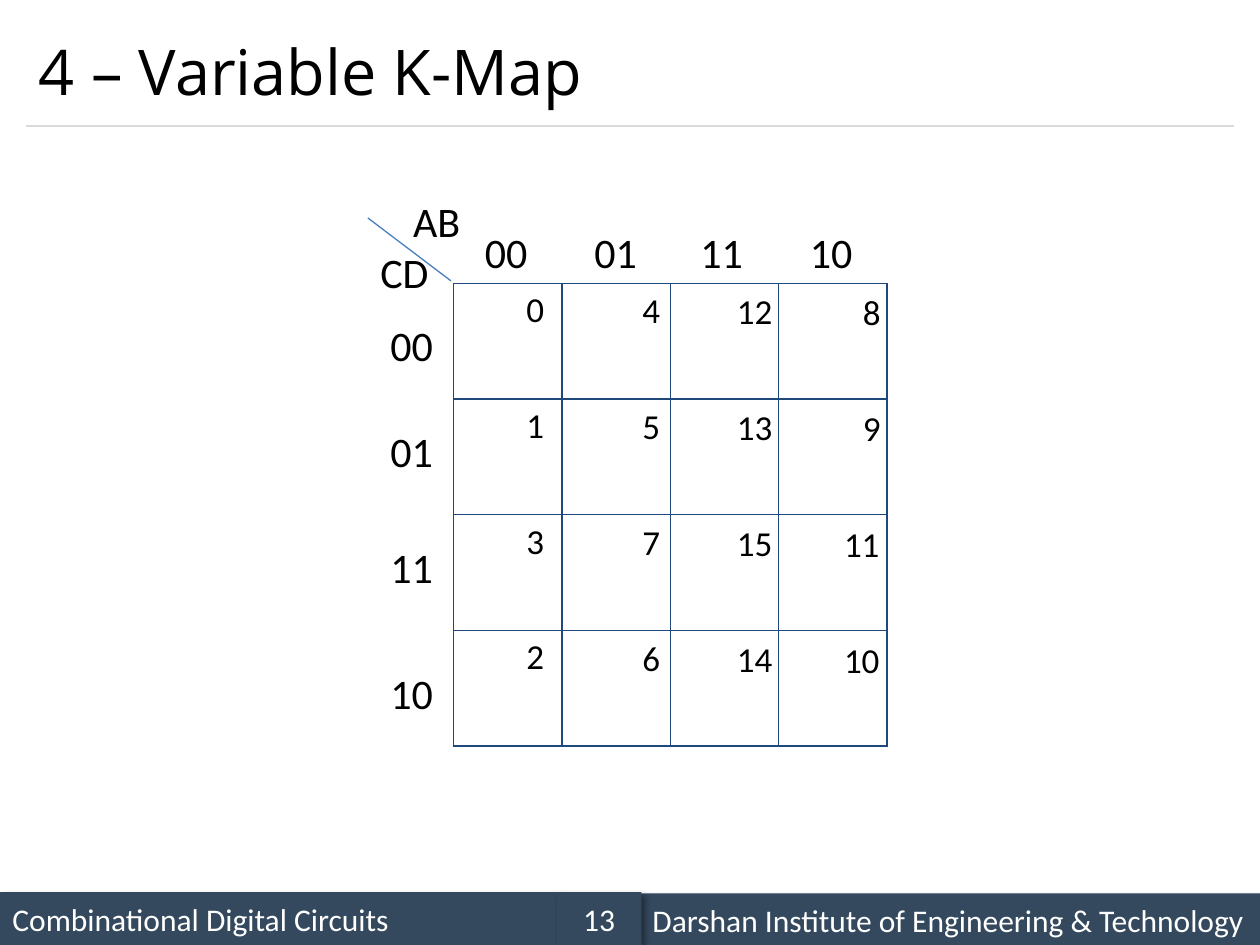
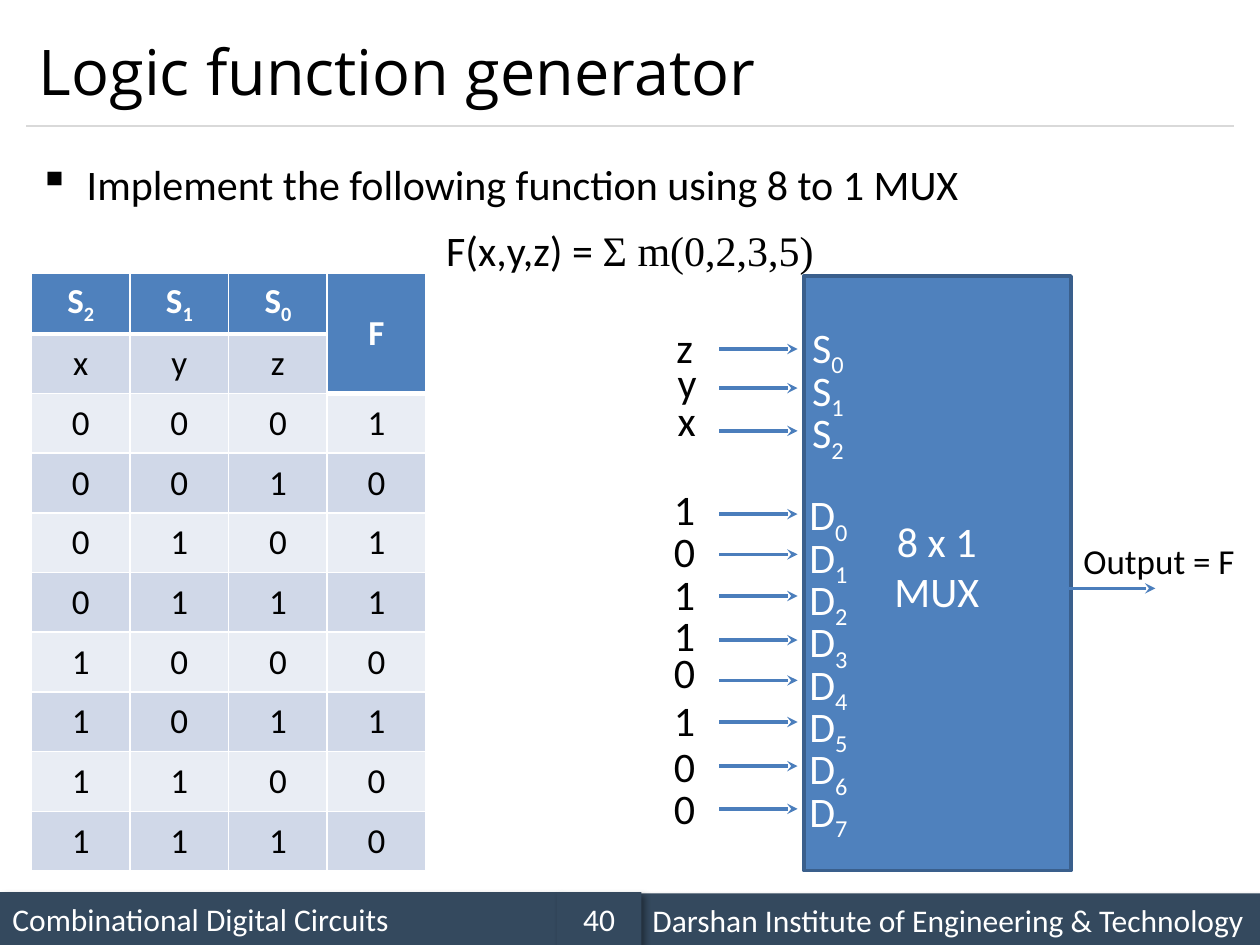
from dataclasses import dataclass
from typing import NamedTuple

from lxml import etree
from pptx import Presentation
from pptx import util as u
from pptx.dml.color import RGBColor
from pptx.enum import shapes, text
from pptx.oxml import ns

Inches, Pt = u.Inches, u.Pt
CENTER, LEFT = text.PP_ALIGN.CENTER, text.PP_ALIGN.LEFT
MIDDLE, TOP = text.MSO_ANCHOR.MIDDLE, text.MSO_ANCHOR.TOP


@dataclass(frozen=True)
class Theme:
    black: str = "000000"
    white: str = "FFFFFF"
    band: str = "34495E"
    rule: str = "D9D9D9"
    grid: str = "1F497D"
    wire: str = "4B7EBC"
    accent: str = "4F81BD"
    accent_edge: str = "3A5F8C"
    row_dark: str = "D0D8E8"
    row_light: str = "E9EDF4"
    title_font: str = "Open Sans"
    body_font: str = "Calibri"
    math_font: str = "Times New Roman"
    title_size: int = 36
    body_size: int = 24
    small_size: int = 20
    footer_size: int = 18


THEME = Theme()


class Box(NamedTuple):
    left: float
    top: float
    width: float
    height: float

    def lengths(self) -> list:
        return [Inches(side) for side in self]


@dataclass(frozen=True)
class Label:
    """Text in a box; an underscore starts a subscript."""
    words: str
    box: Box
    size: int = THEME.body_size
    color: str = THEME.black
    font: str = THEME.body_font
    align: text.PP_ALIGN = LEFT
    anchor: text.MSO_ANCHOR = TOP
    wrap: bool = False


class Wire(NamedTuple):
    x1: float
    y1: float
    x2: float
    y2: float
    color: str = THEME.wire
    width: float = 0.75
    arrow: bool = False


class Pin(NamedTuple):
    name: str
    name_box: Box
    signal: str
    signal_left: float
    signal_top: float
    wire_y: float


# Text and drawing helpers
def add_xml(parent, tag: str, **attributes: str):
    return etree.SubElement(parent, ns.qn(tag), attributes)


def style(paragraph, size: int, color: str, font: str = THEME.body_font,
          bold: bool = False) -> None:
    paragraph.font.size = Pt(size)
    paragraph.font.name = font
    paragraph.font.bold = bold
    paragraph.font.color.rgb = RGBColor.from_string(color)


def write(paragraph, words: str) -> None:
    main, _, subscript = words.partition("_")
    paragraph.add_run().text = main
    if subscript:
        run = paragraph.add_run()
        run.text = subscript
        run._r.get_or_add_rPr().set("baseline", "-25000")


def fill_frame(frame, label: Label) -> None:
    frame.word_wrap = label.wrap
    frame.vertical_anchor = label.anchor
    paragraph = frame.paragraphs[0]
    paragraph.alignment = label.align
    write(paragraph, label.words)
    style(paragraph, label.size, label.color, label.font)


def add_label(slide, label: Label) -> None:
    frame = slide.shapes.add_textbox(*label.box.lengths()).text_frame
    fill_frame(frame, label)
    if label.anchor == TOP:
        frame.auto_size = text.MSO_AUTO_SIZE.SHAPE_TO_FIT_TEXT


def add_block(slide, box: Box, fill: str):
    block = slide.shapes.add_shape(shapes.MSO_SHAPE.RECTANGLE, *box.lengths())
    block.shadow.inherit = False
    block.fill.solid()
    block.fill.fore_color.rgb = RGBColor.from_string(fill)
    block.line.fill.background()
    return block


def add_wire(slide, wire: Wire) -> None:
    ends = [Inches(value) for value in wire[:4]]
    line = slide.shapes.add_connector(shapes.MSO_CONNECTOR.STRAIGHT, *ends)
    line.line.color.rgb = RGBColor.from_string(wire.color)
    line.line.width = Pt(wire.width)
    if wire.arrow:
        add_xml(line.line._get_or_add_ln(), "a:tailEnd", type="stealth")
    add_xml(line._element.spPr, "a:effectLst")


def add_grid(slide, box: Box, rows: int, columns: int):
    table = slide.shapes.add_table(rows, columns, *box.lengths()).table
    table.first_row = table.horz_banding = False
    for column in table.columns:
        column.width = Inches(box.width / columns)
    for row in table.rows:
        row.height = Inches(box.height / rows)
    return table


def set_cell(cell, fill: str | None, border: str, bottom: float = 1) -> None:
    properties = cell._tc.get_or_add_tcPr()
    for side, width in (("L", 1), ("R", 1), ("T", 1), ("B", bottom)):
        edge = add_xml(properties, f"a:ln{side}", w=str(Pt(width)))
        add_xml(add_xml(edge, "a:solidFill"), "a:srgbClr", val=border)
    if fill:
        cell.fill.solid()
        cell.fill.fore_color.rgb = RGBColor.from_string(fill)
    else:
        cell.fill.background()


# Shared slide parts
def add_band(slide, label: Label) -> None:
    band = add_block(slide, label.box, THEME.band)
    effects = band._element.spPr.find(ns.qn("a:effectLst"))
    shadow = add_xml(effects, "a:outerShdw", blurRad=str(Pt(4)), dist=str(Pt(3)),
                     dir="2700000", algn="tl", rotWithShape="0")
    add_xml(add_xml(shadow, "a:srgbClr", val=THEME.black), "a:alpha", val="40000")
    fill_frame(band.text_frame, label)


def start_slide(deck, title: str, number: int):
    slide = deck.slides.add_slide(deck.slide_layouts[6])
    bands = (
        ("Combinational Digital Circuits", Box(0, 7.08, 4.42, 0.42), LEFT),
        ("Darshan Institute of Engineering & Technology", Box(5.08, 7.09, 4.92, 0.42), LEFT),
        (str(number), Box(4.42, 7.08, 0.67, 0.42), CENTER),
    )
    for words, box, align in bands:
        add_band(slide, Label(words, box, THEME.footer_size, THEME.white,
                              align=align, anchor=MIDDLE, wrap=True))
    add_wire(slide, Wire(0.21, 1, 9.79, 1, THEME.rule))
    add_label(slide, Label(title, Box(0.21, 0.12, 9.58, 0.88), THEME.title_size,
                           font=THEME.title_font, anchor=MIDDLE, wrap=True))
    return slide


# Karnaugh map
def build_k_map(deck) -> None:
    slide = start_slide(deck, "4 – Variable K-Map", 13)
    k_map = add_grid(slide, Box(3.6, 2.25, 3.44, 3.67), 4, 4)
    for cell in k_map.iter_cells():
        set_cell(cell, None, THEME.grid)
    add_wire(slide, Wire(3.58, 2.23, 2.92, 1.73))
    add_label(slide, Label("AB", Box(3.18, 1.5, 0.58, 0.5)))
    add_label(slide, Label("CD", Box(2.92, 1.91, 0.59, 0.5)))

    gray_code = (0, 1, 3, 2)
    header_lefts = (3.75, 4.62, 5.46, 6.33)
    header_tops = (2.49, 3.33, 4.25, 5.25)
    for code, left, top in zip(gray_code, header_lefts, header_tops):
        add_label(slide, Label(f"{code:02b}", Box(left, 1.75, 0.54, 0.5)))
        add_label(slide, Label(f"{code:02b}", Box(3, top, 0.54, 0.5)))

    minterm_rights = (4.42, 5.34, 6.24, 7.09)
    for column, (ab, right) in enumerate(zip(gray_code, minterm_rights)):
        for row, cd in enumerate(gray_code):
            minterm = 4 * ab + cd
            width = 0.34 if minterm < 10 else 0.49
            top = 2.23 + 0.92 * row + 0.01 * column
            add_label(slide, Label(str(minterm), Box(right - width, top, width, 0.44),
                                   THEME.small_size))


# Multiplexer
def add_task(slide) -> None:
    frame = slide.shapes.add_textbox(*Box(0.21, 1.08, 9.58, 1.42).lengths()).text_frame
    frame.word_wrap = True
    frame.margin_top = Inches(0.12)
    task, function = frame.paragraphs[0], frame.add_paragraph()
    write(task, "Implement the following function using 8 to 1 MUX")
    properties = task._p.get_or_add_pPr()
    properties.set("marL", str(Inches(0.38)))
    properties.set("indent", str(-Inches(0.38)))
    task.line_spacing = function.line_spacing = 1.14
    add_xml(properties, "a:buChar", char="▪")
    style(task, THEME.body_size, THEME.black)

    function.alignment = CENTER
    function.space_before = Pt(4.8)
    write(function, "F(x,y,z) = ")
    write(function, "Σ m(0,2,3,5)")
    style(function, THEME.body_size, THEME.black)
    function.runs[1].font.name = THEME.math_font


def add_truth_table(slide) -> None:
    outputs = (1, 0, 1, 1, 0, 1, 0, 0)
    rows = [("S_2", "S_1", "S_0", "F"), ("x", "y", "z", "")]
    rows += [(*f"{inputs:03b}", str(output)) for inputs, output in enumerate(outputs)]
    table = add_grid(slide, Box(0.25, 2.17, 3.13, 4.74), len(rows), 4)
    table.cell(0, 3).merge(table.cell(1, 3))
    for r, row in enumerate(rows):
        for c, words in enumerate(row):
            cell = table.cell(r, c)
            header = r == 0 or cell.is_spanned
            stripe = THEME.row_dark if r % 2 else THEME.row_light
            set_cell(cell, THEME.accent if header else stripe, THEME.white,
                     3 if header else 1)
            cell.vertical_anchor = MIDDLE
            paragraph = cell.text_frame.paragraphs[0]
            paragraph.alignment = CENTER
            if words:
                write(paragraph, words)
            style(paragraph, THEME.small_size, THEME.white if header else THEME.black,
                  bold=header)


def mux_pins() -> list[Pin]:
    selects = (("z", 5.27, 2.5, 2.77), ("y", 5.28, 2.78, 3.08), ("x", 5.28, 3.08, 3.42))
    data = (("1", 3.79, 4.08), ("0", 4.12, 4.4), ("1", 4.46, 4.73), ("1", 4.79, 5.08),
            ("0", 5.08, 5.4), ("1", 5.46, 5.73), ("0", 5.83, 6.08), ("0", 6.16, 6.42))
    pins = [Pin(f"S_{i}", Box(6.33, 2.5 + 0.34 * i, 0.48, 0.5), *select)
            for i, select in enumerate(selects)]
    for i, (signal, top, wire_y) in enumerate(data):
        name_box = Box(6.31, 3.83 + 0.336 * i, 0.53, 0.77)
        pins.append(Pin(f"D_{i}", name_box, signal, 5.25, top, wire_y))
    return pins


def build_function_generator(deck) -> None:
    slide = start_slide(deck, "Logic function generator", 40)
    add_task(slide)
    add_truth_table(slide)

    mux = add_block(slide, Box(6.38, 2.19, 2.12, 4.72), THEME.accent)
    mux.line.color.rgb = RGBColor.from_string(THEME.accent_edge)
    mux.line.width = Pt(2)
    add_label(slide, Label("8 x 1 MUX", Box(6.97, 4.04, 0.93, 0.83),
                           color=THEME.white, align=CENTER, wrap=True))
    for pin in mux_pins():
        add_label(slide, Label(pin.name, pin.name_box, color=THEME.white,
                               align=CENTER, wrap=True))
        add_wire(slide, Wire(5.71, pin.wire_y, 6.33, pin.wire_y, width=2, arrow=True))
        add_label(slide, Label(pin.signal, Box(pin.signal_left, pin.signal_top, 0.35, 0.5)))

    add_wire(slide, Wire(8.48, 4.67, 9.17, 4.67, width=2, arrow=True))
    add_label(slide, Label("Output = F", Box(8.5, 4.23, 1.42, 0.44), THEME.small_size))


def main() -> None:
    deck = Presentation()
    deck.slide_width, deck.slide_height = Inches(10), Inches(7.5)
    build_k_map(deck)
    build_function_generator(deck)
    deck.save("out.pptx")


if __name__ == "__main__":
    main()
